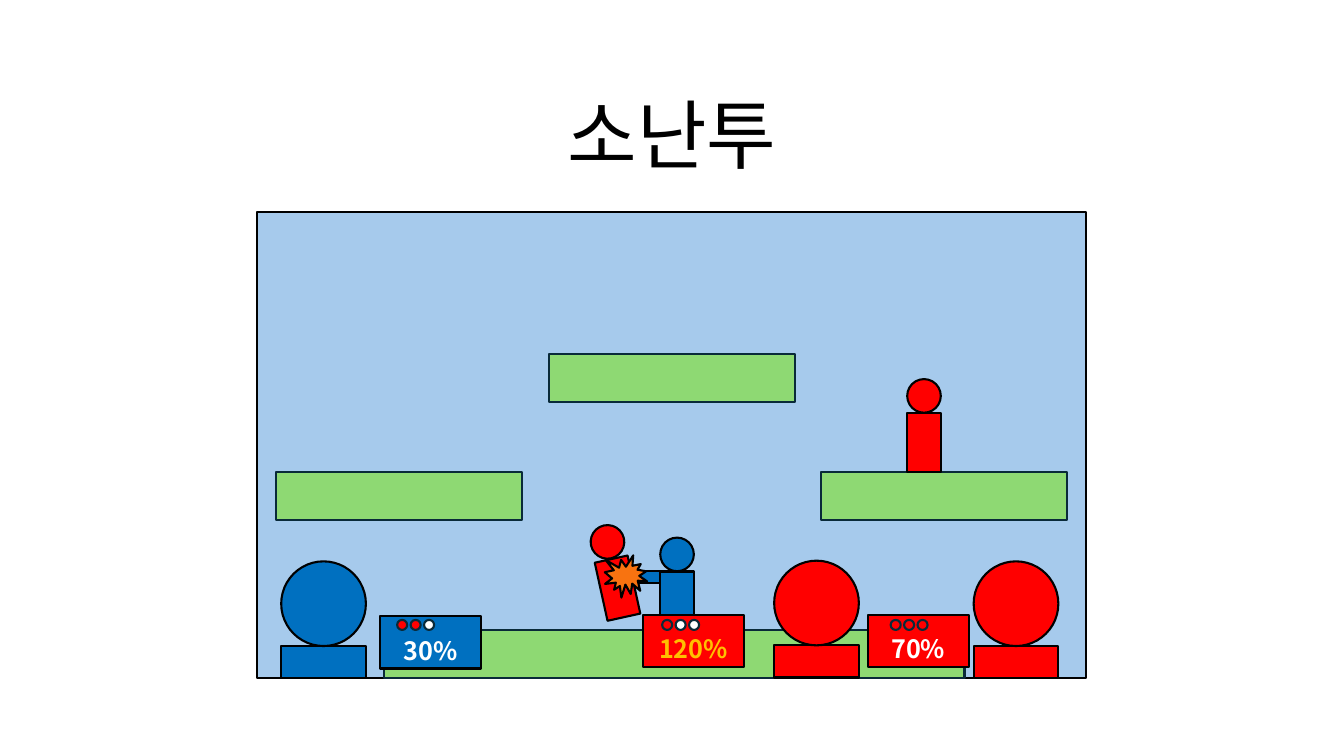
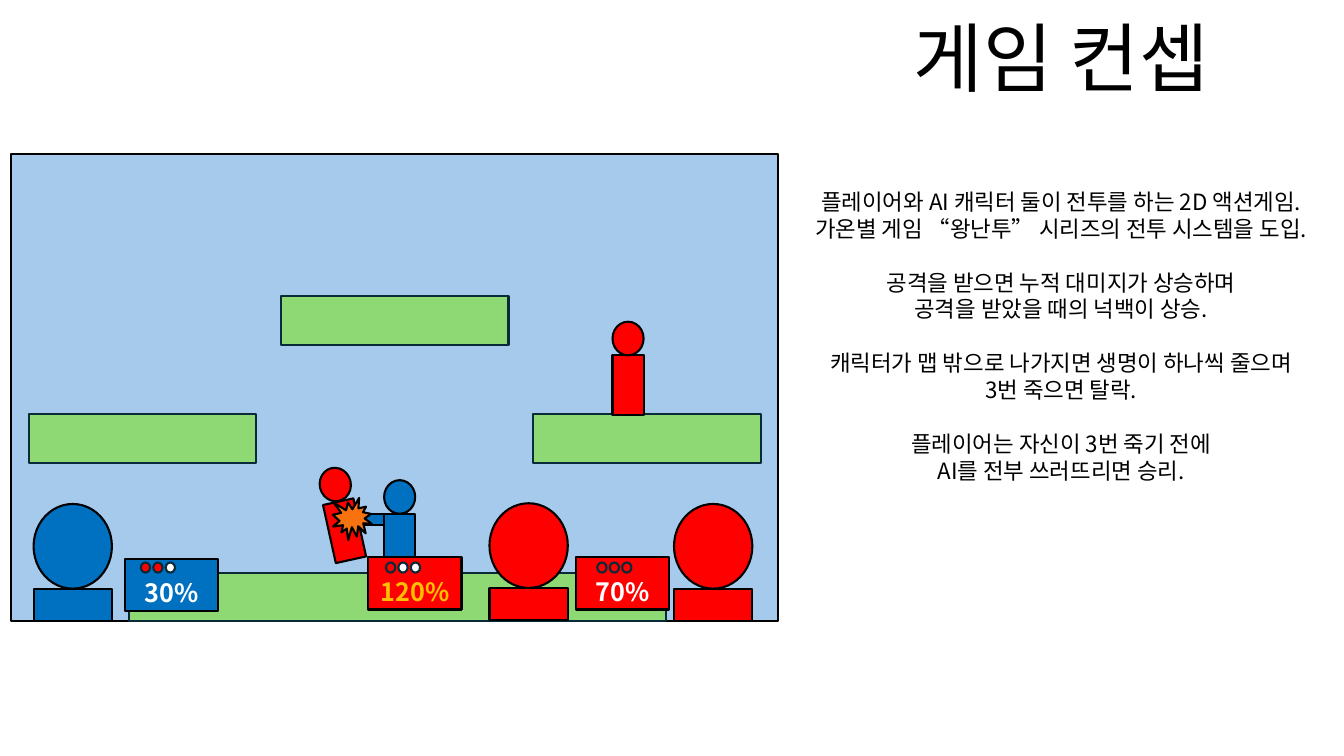
from dataclasses import dataclass
from typing import Any

from lxml import etree
from pptx import Presentation
from pptx.dml.color import RGBColor
from pptx.enum.shapes import MSO_SHAPE
from pptx.enum.text import MSO_ANCHOR, PP_ALIGN
from pptx.oxml.ns import qn
from pptx.util import Pt

RECTANGLE = MSO_SHAPE.RECTANGLE
OVAL = MSO_SHAPE.OVAL
BURST = MSO_SHAPE.EXPLOSION1
CENTER = PP_ALIGN.CENTER
MIDDLE = MSO_ANCHOR.MIDDLE

BLACK = RGBColor(0x00, 0x00, 0x00)
WHITE = RGBColor(0xFF, 0xFF, 0xFF)
SKY = RGBColor(0xA6, 0xCA, 0xEC)
GRASS = RGBColor(0x8E, 0xD9, 0x73)
DARK_EDGE = RGBColor(0x09, 0x2A, 0x39)
BLUE = RGBColor(0x00, 0x70, 0xC0)
RED = RGBColor(0xFF, 0x00, 0x00)
ORANGE = RGBColor(0xF8, 0x73, 0x10)
AMBER = RGBColor(0xFF, 0xC0, 0x00)

FONT = "Noto Sans CJK KR"
SLIDE_WIDTH, SLIDE_HEIGHT = 960, 540
SCENE_WIDTH, SCENE_HEIGHT = 592.5, 333.4
PLATFORM_WIDTH, PLATFORM_HEIGHT = 175.7, 34.6
FIGHTER_WIDTH, FIGHTER_HEIGHT = 24, 42.5
PORTRAIT_WIDTH, PORTRAIT_HEIGHT = 60.5, 23
TILT = 347.6
TITLE_SIZE, BODY_SIZE, DAMAGE_SIZE = 54, 16, 18
LINE_FACTOR = 1.2

CONCEPT_GROUPS = [
    ["플레이어와 AI 캐릭터 둘이 전투를 하는 2D 액션게임.",
     "가온별 게임 “왕난투” 시리즈의 전투 시스템을 도입."],
    ["공격을 받으면 누적 대미지가 상승하며",
     "공격을 받았을 때의 넉백이 상승."],
    ["캐릭터가 맵 밖으로 나가지면 생명이 하나씩 줄으며",
     "3번 죽으면 탈락."],
    ["플레이어는 자신이 3번 죽기 전에",
     "AI를 전부 쓰러뜨리면 승리."],
]


@dataclass
class Scene:
    shapes: Any
    left: float
    top: float
    width: float

    def add(self, kind, x, y, width, height, fill, edge=BLACK, rotation=0):
        stretch = self.width / SCENE_WIDTH
        shape = self.shapes.add_shape(
            kind, Pt(self.left + x * stretch), Pt(self.top + y),
            Pt(width * stretch), Pt(height))
        shape.shadow.inherit = False
        shape.fill.solid()
        shape.fill.fore_color.rgb = fill
        shape.line.color.rgb = edge
        shape.line.width = Pt(1.5)
        shape.rotation = rotation
        return shape


def style_paragraph(paragraph, size, color, bold=False):
    paragraph.alignment = CENTER
    font = paragraph.font
    font.size = Pt(size)
    font.bold = bold
    font.color.rgb = color
    font.name = FONT
    properties = paragraph._p.get_or_add_pPr().get_or_add_defRPr()
    etree.SubElement(properties, qn("a:ea")).set("typeface", FONT)


def add_line(frame, text, size, space_before=0):
    first = not frame.paragraphs[0].text
    paragraph = frame.paragraphs[0] if first else frame.add_paragraph()
    paragraph.text = text
    style_paragraph(paragraph, size, BLACK)
    paragraph.line_spacing = Pt(size * LINE_FACTOR)
    paragraph.space_before = Pt(space_before)


def add_titled_text(slide, title, left, top, width, height):
    frame = slide.shapes.add_textbox(
        Pt(left), Pt(top), Pt(width), Pt(height)).text_frame
    frame.word_wrap = True
    frame.margin_top = Pt(7.5)
    add_line(frame, title, TITLE_SIZE)
    return frame


def add_platform(scene, x, y, width=PLATFORM_WIDTH):
    scene.add(RECTANGLE, x, y, width, PLATFORM_HEIGHT, GRASS, DARK_EDGE)


def add_fighter(scene, body, head, color, rotation=0):
    scene.add(RECTANGLE, *body, FIGHTER_WIDTH, FIGHTER_HEIGHT, color,
              rotation=rotation)
    scene.add(OVAL, *head, FIGHTER_WIDTH, FIGHTER_WIDTH, color,
              rotation=rotation)


def add_portrait(scene, x, y, color):
    scene.add(RECTANGLE, x, y + PORTRAIT_WIDTH, PORTRAIT_WIDTH,
              PORTRAIT_HEIGHT, color)
    scene.add(OVAL, x, y, PORTRAIT_WIDTH, PORTRAIT_WIDTH, color)


def add_damage_panel(scene, x, y, damage, fill, text_color, lives_x, lives):
    panel = scene.add(RECTANGLE, x, y, 72, 37.4, fill)
    frame = panel.text_frame
    frame.word_wrap = True
    frame.vertical_anchor = MIDDLE
    frame.margin_left = frame.margin_right = frame.margin_bottom = 0
    frame.margin_top = Pt(11)
    paragraph = frame.paragraphs[0]
    paragraph.text = damage
    style_paragraph(paragraph, DAMAGE_SIZE, text_color, bold=True)
    for index, color in enumerate(lives):
        scene.add(OVAL, lives_x + 9.6 * index, 291.6, 7.2, 7.2, color,
                  DARK_EDGE)


def add_battle_scene(slide, left, top, width):
    scene = Scene(slide.shapes.add_group_shape().shapes, left, top, width)
    scene.add(RECTANGLE, 0, 0, SCENE_WIDTH, SCENE_HEIGHT, SKY)
    add_platform(scene, 90.7, SCENE_HEIGHT - PLATFORM_HEIGHT, 414.7)
    for index, y in enumerate((185.8, 101.5, 185.8)):
        add_platform(scene, 13.7 + 194.7 * index, y)

    add_fighter(scene, (288, 257), (288, 232.8), BLUE)
    add_fighter(scene, (245.5, 247.7), (238.3, 223.9), RED, TILT)
    add_fighter(scene, (464.4, 143.6), (464.4, 119.6), RED)
    scene.add(RECTANGLE, 263.8, 257, 24, 8, BLUE)
    scene.add(BURST, 248.4, 245.5, 30.2, 30.2, ORANGE)

    for x, y, color in ((17.3, 249.8, BLUE), (369.4, 249.3, RED),
                        (511.9, 249.8, RED)):
        add_portrait(scene, x, y, color)
    add_damage_panel(scene, 87.8, 288.9, "30%", BLUE, WHITE, 100.1,
                     (RED, RED, WHITE))
    add_damage_panel(scene, 275.8, 287.8, "120%", RED, AMBER, 289.4,
                     (RED, WHITE, WHITE))
    add_damage_panel(scene, 436.3, 287.8, "70%", RED, WHITE, 452.6,
                     (RED, RED, RED))


def build_cover(slide):
    add_titled_text(slide, "소난투", 0, 55.4, SLIDE_WIDTH, 72.7)
    add_battle_scene(slide, 183.6, 151.2, SCENE_WIDTH)


def build_concept(slide):
    add_battle_scene(slide, 8, 110.2, 548)
    frame = add_titled_text(slide, "게임 컨셉", 556, 0, 404, 351.4)
    for group_index, lines in enumerate(CONCEPT_GROUPS):
        gap = BODY_SIZE * LINE_FACTOR if group_index else 62
        for line_index, text in enumerate(lines):
            add_line(frame, text, BODY_SIZE, 0 if line_index else gap)


def main():
    presentation = Presentation()
    presentation.slide_width = Pt(SLIDE_WIDTH)
    presentation.slide_height = Pt(SLIDE_HEIGHT)
    blank_layout = presentation.slide_layouts[6]
    for build in (build_cover, build_concept):
        build(presentation.slides.add_slide(blank_layout))
    presentation.save("out.pptx")


if __name__ == "__main__":
    main()
